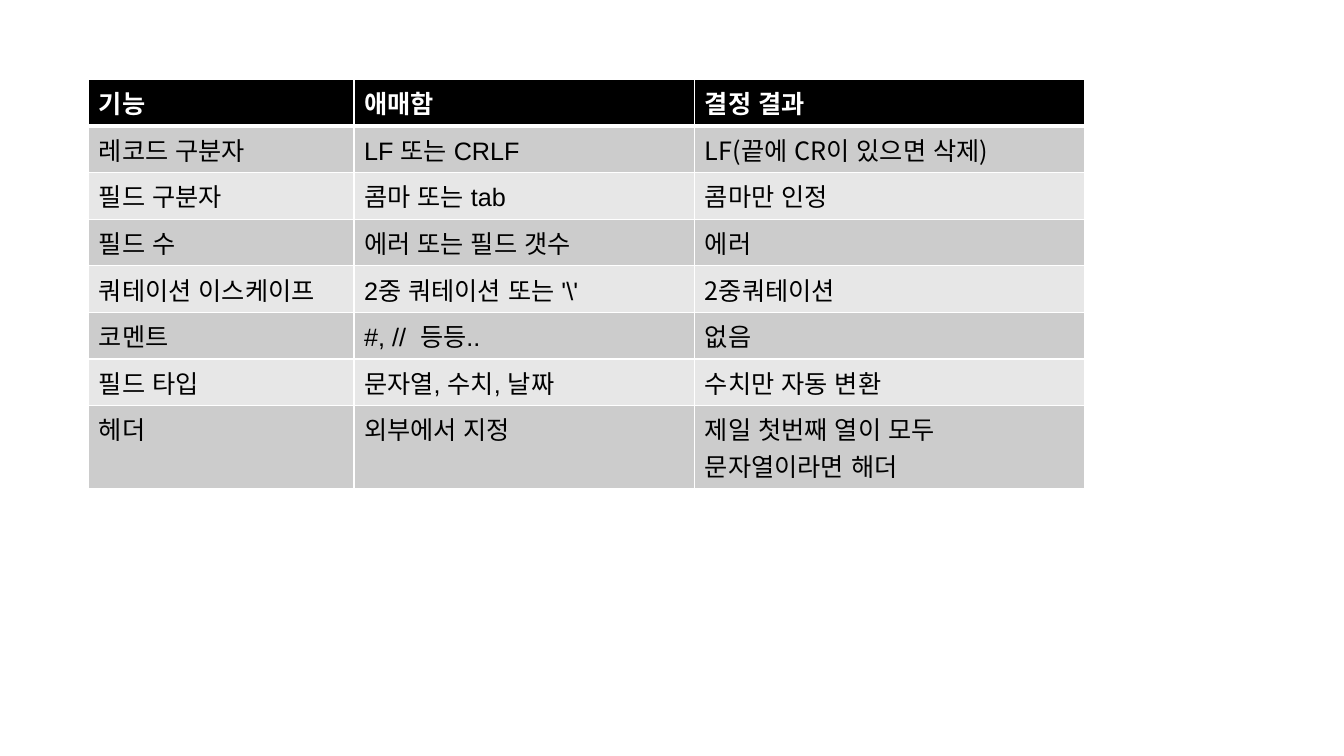
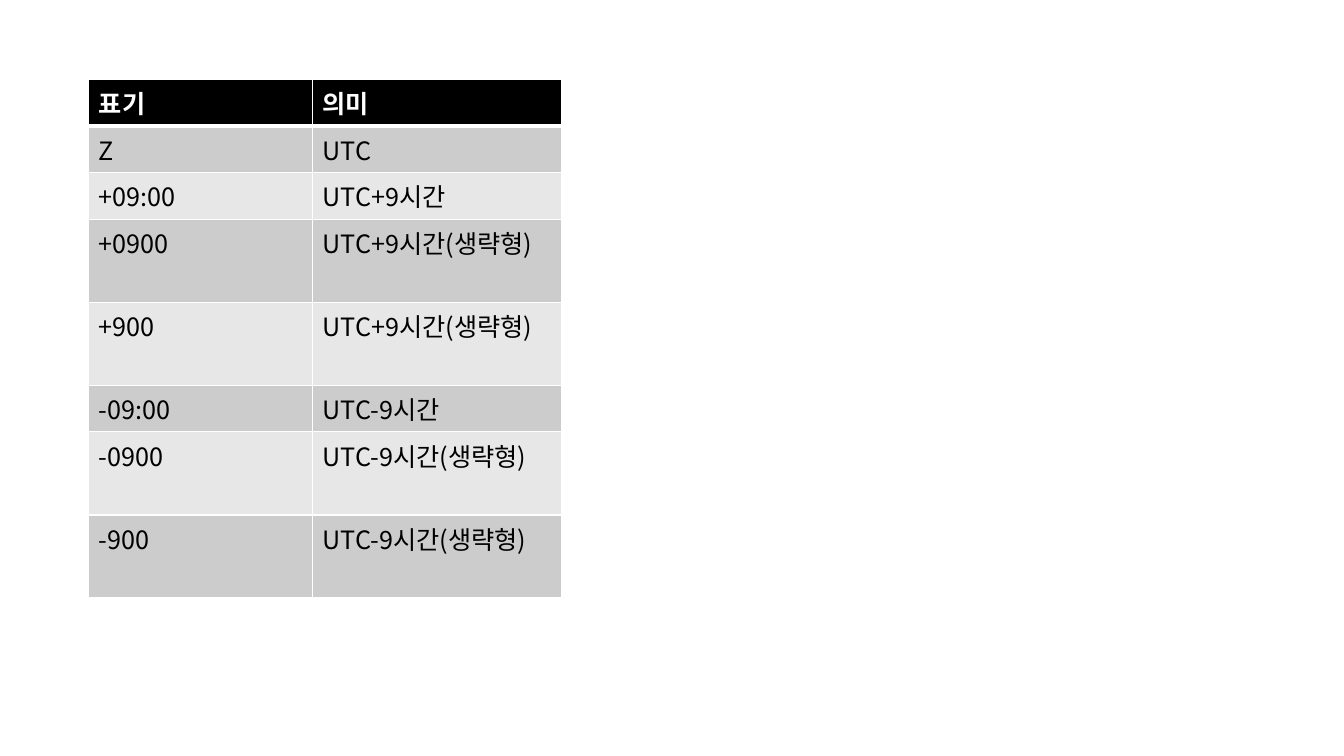
"""Builds two slides with tables on CSV parsing rules and time zone notation."""
import pptx
import pptx.dml.color
import pptx.enum.lang
import pptx.oxml.ns
import pptx.util
import lxml.etree

Cm = pptx.util.Cm
Pt = pptx.util.Pt
RGBColor = pptx.dml.color.RGBColor

BLACK = RGBColor(0x00, 0x00, 0x00)
WHITE = RGBColor(0xFF, 0xFF, 0xFF)
DARK_BAND = RGBColor(0xCC, 0xCC, 0xCC)
LIGHT_BAND = RGBColor(0xE7, 0xE7, 0xE7)

KOREAN_FONT = "Noto Sans CJK KR"
LATIN_FONT = "Arial"
TEXT_SIZE = Pt(18)
TABLE_LEFT = Cm(2.24)
TABLE_TOP = Cm(2)
ROW_HEIGHT = Cm(1.08)
THIN_RULE = Pt(1)
HEADER_RULE = Pt(3)
BLANK_LAYOUT = 6

CSV_RULES = [
    ("기능", "애매함", "결정 결과"),
    ("레코드 구분자", "LF 또는 CRLF", "LF(끝에 CR이 있으면 삭제)"),
    ("필드 구분자", "콤마 또는 tab", "콤마만 인정"),
    ("필드 수", "에러 또는 필드 갯수", "에러"),
    ("쿼테이션 이스케이프", "2중 쿼테이션 또는 '\\'", "2중쿼테이션"),
    ("코멘트", "#, //  등등..", "없음"),
    ("필드 타입", "문자열, 수치, 날짜", "수치만 자동 변환"),
    ("헤더", "외부에서 지정", "제일 첫번째 열이 모두 문자열이라면 해더"),
]

TIME_ZONES = [
    ("표기", "의미"),
    ("Z", "UTC"),
    ("+09:00", "UTC+9시간"),
    ("+0900", "UTC+9시간(생략형)"),
    ("+900", "UTC+9시간(생략형)"),
    ("-09:00", "UTC-9시간"),
    ("-0900", "UTC-9시간(생략형)"),
    ("-900", "UTC-9시간(생략형)"),
]


def add_child(parent, tag, **attributes):
    """Append a DrawingML element to the parent and return it."""
    return lxml.etree.SubElement(parent, pptx.oxml.ns.qn(tag), attributes)


def set_borders(cell, top, bottom):
    """Draw white rules on the four sides of a cell."""
    properties = cell._tc.get_or_add_tcPr()
    sides = {"a:lnL": THIN_RULE, "a:lnR": THIN_RULE, "a:lnT": top, "a:lnB": bottom}
    for tag, width in sides.items():
        line = add_child(properties, tag, w=str(int(width)))
        fill = add_child(line, "a:solidFill")
        add_child(fill, "a:srgbClr", val=str(WHITE))


def format_text(cell, font_name, is_header):
    """Set the font of the text in a cell."""
    for para in cell.text_frame.paragraphs:
        for span in para.runs:
            font = span.font
            font.name = font_name
            font.size = TEXT_SIZE
            font.bold = is_header
            font.color.rgb = WHITE if is_header else BLACK
            font.language_id = pptx.enum.lang.MSO_LANGUAGE_ID.KOREAN
            add_child(span._r.get_or_add_rPr(), "a:ea", typeface=KOREAN_FONT)


def row_color(row_index):
    """Return the fill of a row: black header, then alternating bands."""
    if row_index == 0:
        return BLACK
    return DARK_BAND if row_index % 2 else LIGHT_BAND


def add_banded_table(page, rows, widths, fonts):
    """Add a table with a black header and grey bands."""
    frame = page.shapes.add_table(
        len(rows), len(widths), TABLE_LEFT, TABLE_TOP, sum(widths), ROW_HEIGHT * len(rows)
    )
    table = frame.table
    for column, width in zip(table.columns, widths):
        column.width = width
    for row_index, texts in enumerate(rows):
        table.rows[row_index].height = ROW_HEIGHT
        top = HEADER_RULE if row_index == 1 else THIN_RULE
        bottom = HEADER_RULE if row_index == 0 else THIN_RULE
        for column_index, text in enumerate(texts):
            cell = table.cell(row_index, column_index)
            cell.text_frame.text = text
            format_text(cell, fonts[column_index], row_index == 0)
            set_borders(cell, top, bottom)
            cell.fill.solid()
            cell.fill.fore_color.rgb = row_color(row_index)


def add_page(deck):
    """Add an empty slide."""
    return deck.slides.add_slide(deck.slide_layouts[BLANK_LAYOUT])


def main():
    """Build and save the deck."""
    deck = pptx.Presentation()
    deck.slide_width = Cm(33.87)
    deck.slide_height = Cm(19.05)
    add_banded_table(
        add_page(deck),
        CSV_RULES,
        [Cm(6.68), Cm(8.59), Cm(9.83)],
        [KOREAN_FONT, LATIN_FONT, KOREAN_FONT],
    )
    add_banded_table(
        add_page(deck), TIME_ZONES, [Cm(5.64), Cm(6.27)], [KOREAN_FONT, KOREAN_FONT]
    )
    deck.save("out.pptx")


main()
